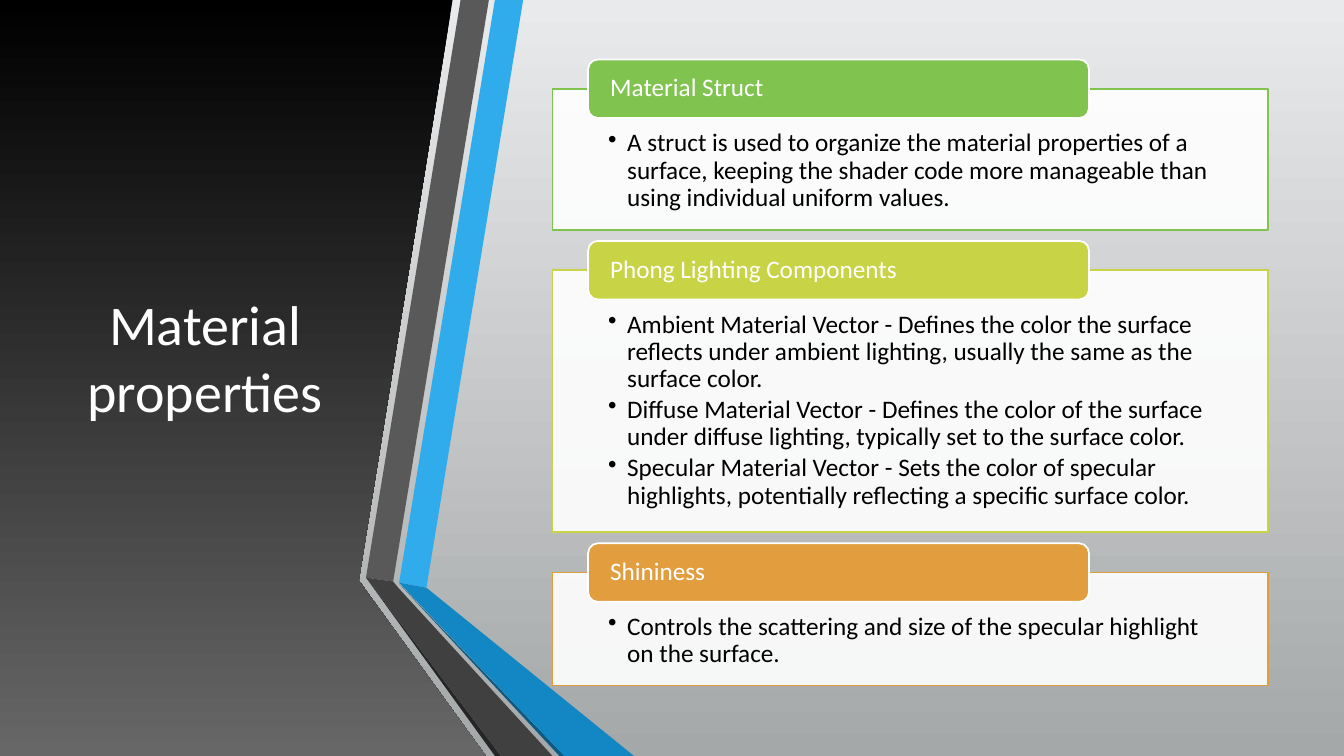
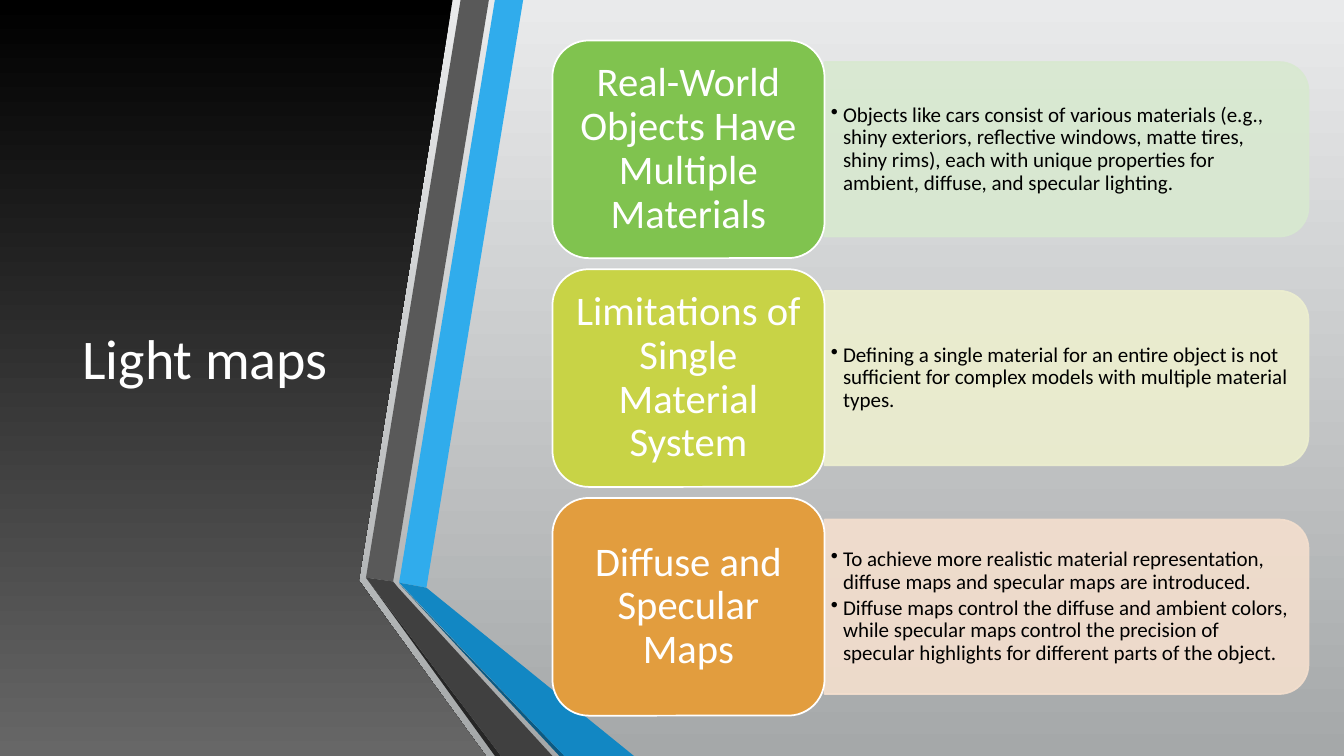
import pptx
import pptx.util
import pptx.dml.color
import pptx.enum.shapes
import pptx.enum.text
import pptx.oxml.ns
import pptx.oxml.xmlchemy

Pt = pptx.util.Pt
SHAPE = pptx.enum.shapes.MSO_SHAPE
ALIGN = pptx.enum.text.PP_ALIGN
ANCHOR = pptx.enum.text.MSO_ANCHOR

FONT = "Calibri"
WHITE, BLACK = "FFFFFF", "000000"
GREEN, LIME, ORANGE = "80C34F", "C8D346", "E29D3E"
WIDE, HIGH = 960, 540
LEFT = 394.6

BACK = ("E9EAEB", "A5A8A9")
PANEL = (BLACK, "676767")
EDGE = [(0, 0), (323.3, 0), (256.3, 414.7), (347, HIGH), (0, HIGH)]
BANDS = [
    ("30ACEC", [(285.1, 416.2), (304.6, 419.8), (373.7, 0), (353.5, 0)]),
    ("595959", [(349.2, 0), (329, 0), (261.4, 412.6), (280.8, 415.4)]),
    ("262626", [(261.4, 412.6), (353.5, HIGH), (357.8, HIGH)]),
    ("0C5A82", [(285.1, 416.9), (399.6, HIGH), (403.2, HIGH)]),
    ("1287C3", [(285.1, 416.2), (403.2, HIGH), (452.9, HIGH), (304.6, 419.8)]),
    ("404040", [(394.6, HIGH), (284.4, 419.8), (280.8, 415.4),
                (261.4, 412.6), (357.8, HIGH)]),
]

# heading, colour, card height, points
CARDS = [
    ("Material Struct", GREEN, 100.8, [
        "A struct is used to organize the material properties of a surface, "
        "keeping the shader code more manageable than using individual "
        "uniform values."]),
    ("Phong Lighting Components", LIME, 187.2, [
        "Ambient Material Vector - Defines the color the surface reflects "
        "under ambient lighting, usually the same as the surface color.",
        "Diffuse Material Vector - Defines the color of the surface under "
        "diffuse lighting, typically set to the surface color.",
        "Specular Material Vector - Sets the color of specular highlights, "
        "potentially reflecting a specific surface color."]),
    ("Shininess", ORANGE, 80.6, [
        "Controls the scattering and size of the specular highlight on the "
        "surface."]),
]

# heading, colour, pale colour, points
ROWS = [
    ("Real-World Objects Have Multiple Materials", GREEN, "D8E9D0", [
        "Objects like cars consist of various materials (e.g., shiny "
        "exteriors, reflective windows, matte tires, shiny rims), each with "
        "unique properties for ambient, diffuse, and specular lighting."]),
    ("Limitations of Single Material System", LIME, "EDEFCF", [
        "Defining a single material for an entire object is not sufficient "
        "for complex models with multiple material types."]),
    ("Diffuse and Specular Maps", ORANGE, "F4DFCE", [
        "To achieve more realistic material representation, diffuse maps and "
        "specular maps are introduced.",
        "Diffuse maps control the diffuse and ambient colors, while specular "
        "maps control the precision of specular highlights for different "
        "parts of the object."]),
]


def rgb(code):
    return pptx.dml.color.RGBColor.from_string(code)


def paint(fill, code, alpha=None):
    fill.solid()
    fill.fore_color.rgb = rgb(code)
    if alpha:
        tag = fill._xPr.find(".//" + pptx.oxml.ns.qn("a:srgbClr"))
        node = pptx.oxml.xmlchemy.OxmlElement("a:alpha")
        node.set("val", str(alpha * 1000))
        tag.append(node)


def fade(fill, codes):
    """Fill with a gradient from top to bottom."""
    fill.gradient()
    fill.gradient_angle = 270
    for stop, code in zip(fill.gradient_stops, codes):
        stop.color.rgb = rgb(code)


def write(shape, lines, size=18, color=WHITE, align=ALIGN.LEFT,
          anchor=ANCHOR.MIDDLE, inset=(7.2, 3.6, 7.2, 3.6), pitch=0.9,
          hang=0):
    """Set the text; a hang above zero gives bullets with that indent."""
    frame = shape.text_frame
    frame.word_wrap = True
    frame.auto_size = pptx.enum.text.MSO_AUTO_SIZE.NONE
    frame.vertical_anchor = anchor
    (frame.margin_left, frame.margin_top,
     frame.margin_right, frame.margin_bottom) = map(Pt, inset)
    for i, line in enumerate(lines):
        para = frame.add_paragraph() if i else frame.paragraphs[0]
        if hang:
            props = para._p.get_or_add_pPr()
            props.set("marL", str(Pt(hang)))
            props.set("indent", str(-Pt(hang)))
            mark = pptx.oxml.xmlchemy.OxmlElement("a:buChar")
            mark.set("char", "•")
            props.append(mark)
        para.alignment = align
        para.line_spacing = pitch
        para.space_before = Pt(0)
        para.space_after = Pt(size * 0.15)
        run = para.add_run()
        run.text = line
        run.font.name = FONT
        run.font.size = Pt(size)
        run.font.color.rgb = rgb(color)


def block(slide, kind, box, fill, line, alpha=None, fog=None):
    """Add a preset shape; alpha and fog are the fill and line opacity."""
    shape = slide.shapes.add_shape(kind, *map(Pt, box))
    shape.shadow.inherit = False
    paint(shape.fill, fill, alpha)
    paint(shape.line.fill, line, fog)
    shape.line.width = Pt(1.25)
    return shape


def trace(slide, spots):
    spots = [(Pt(x), Pt(y)) for x, y in spots]
    pen = slide.shapes.build_freeform(*spots[0], scale=1.0)
    pen.add_line_segments(spots[1:], close=True)
    shape = pen.convert_to_shape()
    shape.shadow.inherit = False
    shape.line.fill.background()
    return shape


def dress(deck, layout):
    """Give the layout its background, dark panel and bands."""
    fade(deck.slide_master.background.fill, BACK)
    slide = deck.slides[0]
    panel = trace(slide, EDGE)
    fade(panel.fill, PANEL)
    parts = [panel]
    for code, spots in BANDS:
        band = trace(slide, spots)
        paint(band.fill, code)
        parts.append(band)
    for i, part in enumerate(parts):
        part._element.nvSpPr.cNvPr.set("id", str(100 + i))
        layout.shapes._spTree.append(part._element)


def start(deck, layout, title):
    slide = deck.slides.add_slide(layout)
    head = slide.shapes.title
    head.left, head.top, head.width, head.height = map(
        Pt, (42.5, 54, 208, 401.8))
    write(head, [title], size=40, align=ALIGN.CENTER, pitch=1.0)
    return slide


def cards(slide):
    top, gap, tall = 63.4, 28.8, 41.8
    for name, color, high, points in CARDS:
        card = block(slide, SHAPE.RECTANGLE, (LEFT, top, 511.2, high),
                     WHITE, color, alpha=90)
        write(card, points, color=BLACK, anchor=ANCHOR.TOP, hang=13.7,
              inset=(39.7, 29.5, 39.7, 10))
        tab = block(slide, SHAPE.ROUNDED_RECTANGLE,
                    (LEFT + 25.5, top - tall / 2, 357.8, tall), color, WHITE)
        write(tab, [name], inset=(13.7, 0, 13.7, 0))
        top += high + gap


def rows(slide):
    top, step, wide, high = 28.9, 163.4, 194.4, 155.5
    long, thick = 345.6, 124.6
    side = LEFT + wide
    for i, (name, color, pale, points) in enumerate(ROWS):
        y = top + i * step
        mid = y + high / 2
        pane = block(slide, SHAPE.ROUND_2_SAME_RECTANGLE,
                     (side + (long - thick) / 2, mid - long / 2, thick, long),
                     pale, pale, alpha=90, fog=90)
        pane.rotation = 90
        note = slide.shapes.add_textbox(
            *map(Pt, (side, mid - 56.2, 339.1, 112.4)))
        write(note, points, size=15, color=BLACK, hang=8.8,
              inset=(4.4, 2.2, 4.4, 2.2))
        tile = block(slide, SHAPE.ROUNDED_RECTANGLE, (LEFT, y, wide, high),
                     color, WHITE)
        write(tile, [name], size=29, align=ALIGN.CENTER,
              inset=(8.6, 4.3, 8.6, 4.3))


def main():
    deck = pptx.Presentation()
    deck.slide_width, deck.slide_height = Pt(WIDE), Pt(HIGH)
    layout = deck.slide_layouts[5]
    cards(start(deck, layout, "Material properties"))
    rows(start(deck, layout, "Light maps"))
    dress(deck, layout)
    deck.save("out.pptx")


if __name__ == "__main__":
    main()
